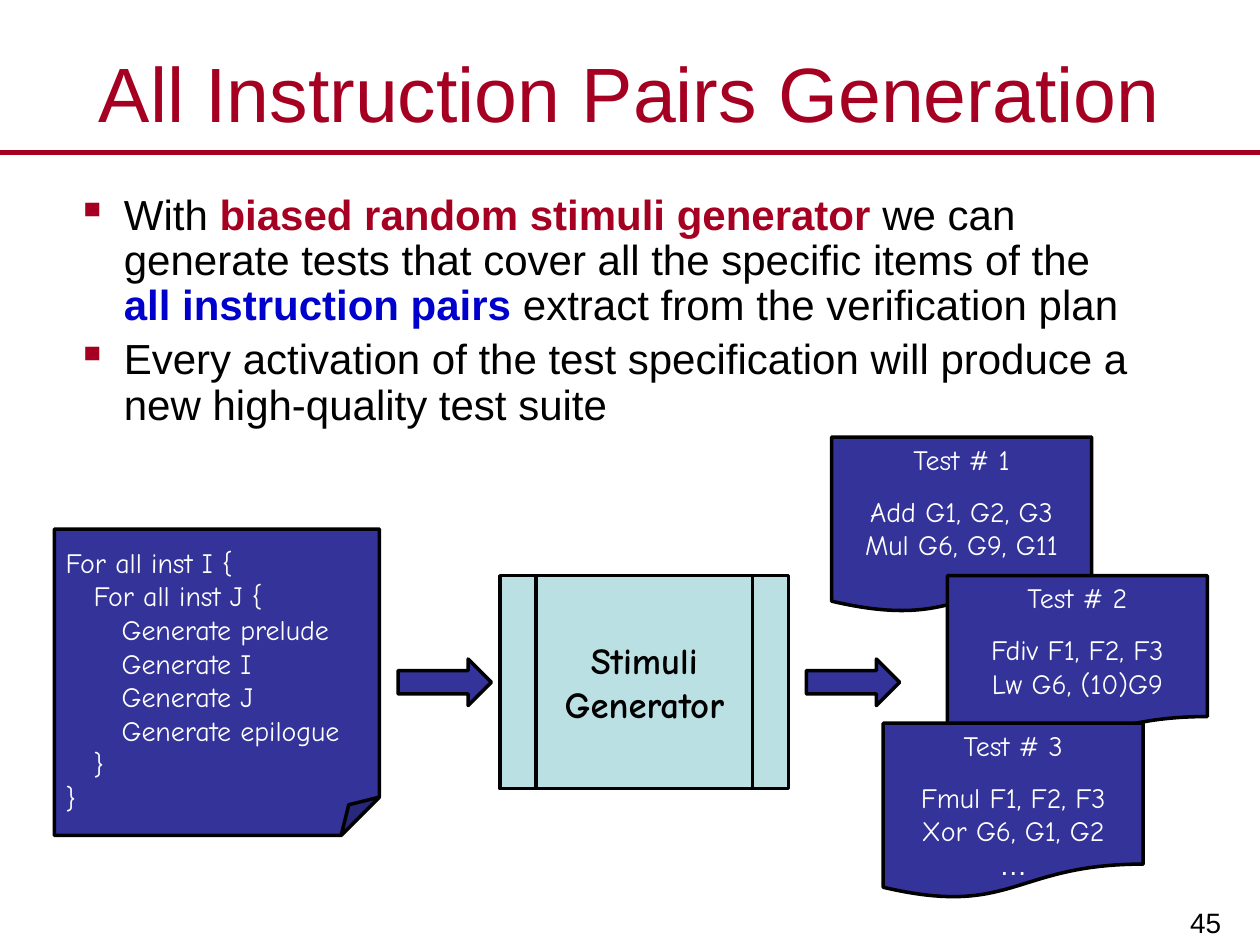
import pptx
import pptx.util
import pptx.dml.color
import pptx.enum.shapes
import pptx.enum.text
import pptx.oxml.ns
from lxml import etree

Pt = pptx.util.Pt
SHAPE = pptx.enum.shapes.MSO_SHAPE
ALIGN = pptx.enum.text.PP_ALIGN
ANCHOR = pptx.enum.text.MSO_ANCHOR
qn = pptx.oxml.ns.qn

COLORS = {"red": "A50021", "blue": "0000CC", "navy": "333399",
          "teal": "BBE0E3", "black": "000000", "white": "FFFFFF"}
RGB = {name: pptx.dml.color.RGBColor.from_string(h) for name, h in COLORS.items()}
HAND = "Comic Neue"


def add_run(p, text, size, color="black", bold=False, font="Arial"):
    r = p.add_run()
    r.text = text
    r.font.name = font
    r.font.size = Pt(size)
    r.font.bold = bold
    r.font.color.rgb = RGB[color]


def add_box(kind, x, y, w, h, fill="navy", insets=(6.5, 3, 6.5, 3), anchor=ANCHOR.MIDDLE):
    """Add an outlined preset shape and return it with its text frame set up."""
    sp = s.shapes.add_shape(kind, Pt(x), Pt(y), Pt(w), Pt(h))
    sp.shadow.inherit = False
    sp.fill.solid()
    sp.fill.fore_color.rgb = RGB[fill]
    sp.line.color.rgb = RGB["black"]
    sp.line.width = Pt(2)
    tf = sp.text_frame
    tf.word_wrap = False
    tf.vertical_anchor = anchor
    tf.margin_left, tf.margin_top, tf.margin_right, tf.margin_bottom = map(Pt, insets)
    return sp


prs = pptx.Presentation()
prs.slide_width, prs.slide_height = Pt(720), Pt(540)
s = prs.slides.add_slide(prs.slide_layouts[6])

# Rule under the title
rule = s.shapes.add_connector(pptx.enum.shapes.MSO_CONNECTOR.STRAIGHT,
                              Pt(0), Pt(87), Pt(720), Pt(87))
rule.line.color.rgb = RGB["red"]
rule.line.width = Pt(3)
etree.SubElement(rule._element.spPr, qn("a:effectLst"))

# Title and slide number
for text, x, y, w, h, size, color, align, anchor in [
    ("45", 561.6, 499, 143.3, 41, 16, "black", ALIGN.RIGHT, ANCHOR.BOTTOM),
    ("All Instruction Pairs Generation", 0, 21.6, 720, 62, 44, "red",
     ALIGN.CENTER, ANCHOR.MIDDLE),
]:
    tf = s.shapes.add_textbox(Pt(x), Pt(y), Pt(w), Pt(h)).text_frame
    tf.word_wrap = True
    tf.vertical_anchor = anchor
    p = tf.paragraphs[0]
    p.alignment = align
    add_run(p, text, size, color)

# Bullets
bullets = [
    [("With ", "black", False),
     ("biased random stimuli generator ", "red", True),
     ("we can generate tests that cover all the specific items of the ", "black", False),
     ("all instruction pairs", "blue", True),
     (" extract from the verification plan", "black", False)],
    [("Every activation of the test specification will produce a new "
      "high-quality test suite", "black", False)],
]
tf = s.shapes.add_textbox(Pt(36.7), Pt(107.3), Pt(622.8), Pt(157.7)).text_frame
tf.word_wrap = True
for i, runs in enumerate(bullets):
    p = tf.add_paragraph() if i else tf.paragraphs[0]
    pPr = p._p.get_or_add_pPr()
    pPr.set("marL", str(Pt(27)))
    pPr.set("indent", str(-Pt(27)))
    color = etree.SubElement(pPr, qn("a:buClr"))
    etree.SubElement(color, qn("a:srgbClr"), val=COLORS["red"])
    etree.SubElement(pPr, qn("a:buChar"), char="▪")
    p.line_spacing = 0.9
    if i:
        p.space_before = Pt(4.8)
    for text, color, bold in runs:
        add_run(p, text, 24, color, bold)

# Test specification; the deeper top inset sets the code below the middle
code = """For all inst I {
   For all inst J {
      Generate prelude
      Generate I
      Generate J
      Generate epilogue
   }
}"""
sp = add_box(SHAPE.FOLDED_CORNER, 31, 302.4, 185.8, 175, insets=(6.5, 22, 6.5, 3))
fold = sp._element.spPr.find(qn("a:prstGeom")).get_or_add_avLst()
etree.SubElement(fold, qn("a:gd"), name="adj", fmla="val 12500")
for i, line in enumerate(code.split("\n")):
    p = sp.text_frame.add_paragraph() if i else sp.text_frame.paragraphs[0]
    p.alignment = ALIGN.LEFT
    add_run(p, line, 16, "white", font=HAND)

# Generator
sp = add_box(SHAPE.FLOWCHART_PREDEFINED_PROCESS, 285.8, 329, 164.9, 121.7, "teal")
for i, line in enumerate(["Stimuli", "Generator"]):
    p = sp.text_frame.add_paragraph() if i else sp.text_frame.paragraphs[0]
    p.alignment = ALIGN.CENTER
    add_run(p, line, 21, bold=True, font=HAND)

# Flow arrows
for x in (227.5, 460.8):
    add_box(SHAPE.RIGHT_ARROW, x, 376.6, 53.3, 26.6)

# Generated tests, each overlapping the one before
tests = [
    (475.2, 249.8, ["Test # 1", "Add G1, G2, G3", "Mul G6, G9, G11"]),
    (541.4, 329, ["Test # 2", "Fdiv F1, F2, F3", "Lw G6, (10)G9"]),
    (504.7, 413.3, ["Test # 3", "Fmul F1, F2, F3", "Xor G6, G1, G2", "…"]),
]
for x, y, lines in tests:
    sp = add_box(SHAPE.FLOWCHART_DOCUMENT, x, y, 148.6, 100.4,
                 insets=(2, 3, 2, 3), anchor=ANCHOR.TOP)
    for i, line in enumerate(lines):
        p = sp.text_frame.add_paragraph() if i else sp.text_frame.paragraphs[0]
        p.alignment = ALIGN.CENTER
        if i == 1:
            p.space_before = Pt(10.5)
        add_run(p, line, 16, "white", font="Arial" if line == "…" else HAND)

prs.save("out.pptx")
